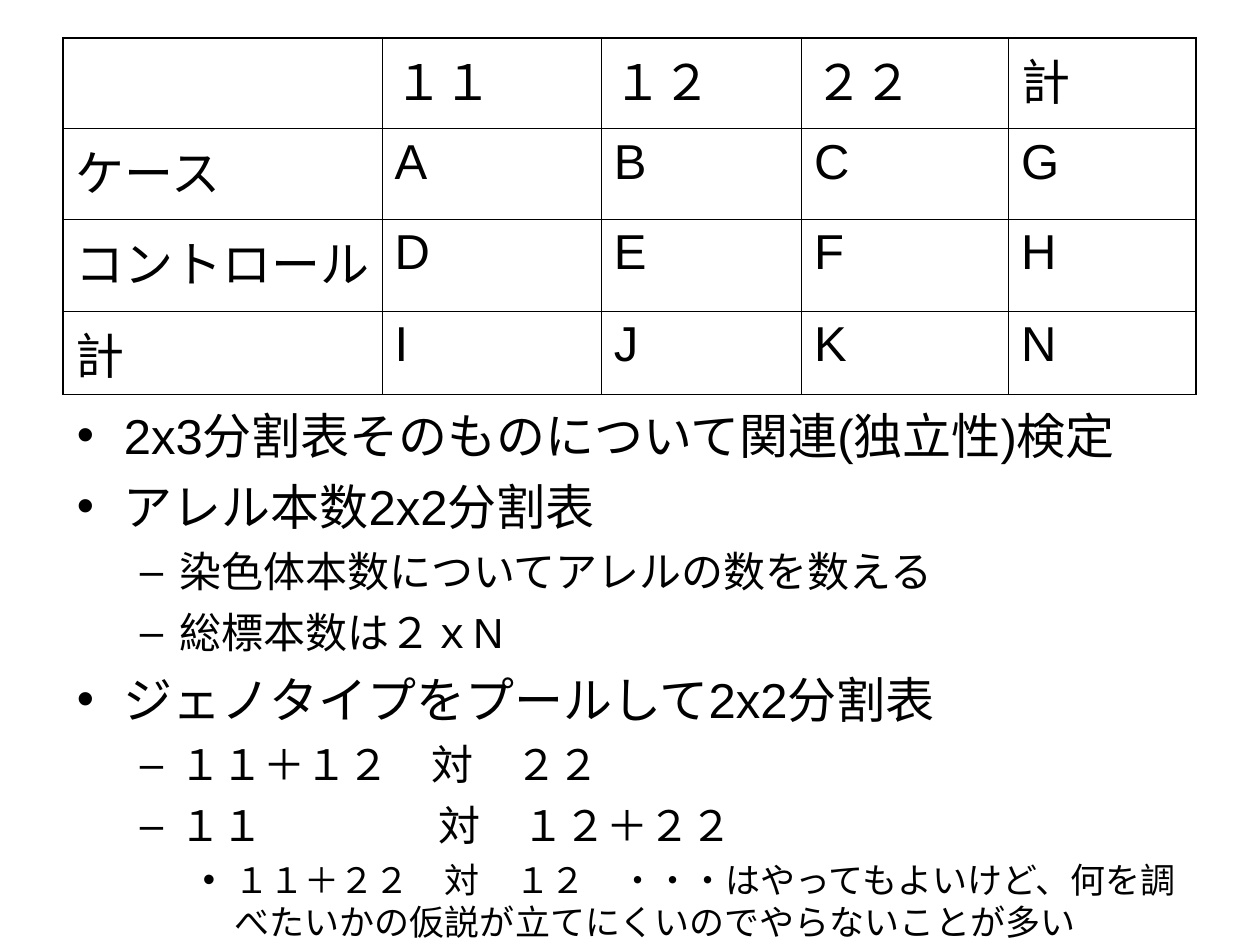
import pptx
import pptx.util
import pptx.dml.color
import pptx.oxml
import pptx.oxml.ns
from pptx.util import Cm, Pt

BLACK = pptx.dml.color.RGBColor(0, 0, 0)
WHITE = pptx.dml.color.RGBColor(255, 255, 255)
FONT = "Arial"
THIN, THICK = Pt(0.45), Pt(1.08)

COLS = [6.43, 4.42, 4.04, 4.17, 3.78]
ROWS = [1.83, 1.83, 1.85, 1.65]
CELLS = [
    ["", "１１", "１２", "２２", "計"],
    ["ケース", "A", "B", "C", "G"],
    ["コントロール", "D", "E", "F", "H"],
    ["計", "I", "J", "K", "N"],
]

# Per level: left margin, hanging indent, space before, size, bullet
LEVELS = [
    (Cm(0.95), Cm(0.95), Pt(7), Pt(28), "•"),
    (Cm(2.06), Cm(0.79), Pt(6), Pt(24), "–"),
    (Cm(3.18), Cm(0.64), Pt(5), Pt(20), "•"),
]
POINTS = [
    (0, "2x3分割表そのものについて関連(独立性)検定"),
    (0, "アレル本数2x2分割表"),
    (1, "染色体本数についてアレルの数を数える"),
    (1, "総標本数は２ｘN"),
    (0, "ジェノタイプをプールして2x2分割表"),
    (1, "１１＋１２　対　２２"),
    (1, "１１\t対　１２＋２２"),
    (2, "１１＋２２　対　１２　・・・はやってもよいけど、"
        "何を調べたいかの仮説が立てにくいのでやらないことが多い"),
]
TAB = Cm(7.3)


def make(tag, body="", **attrs):
    """Build one DrawingML element."""
    text = "".join(f' {key}="{val}"' for key, val in attrs.items())
    space = pptx.oxml.ns.nsdecls("a")
    return pptx.oxml.parse_xml(f"<a:{tag} {space}{text}>{body}</a:{tag}>")


def style(para, size):
    for run in para.runs:
        run.font.name = FONT
        run.font.size = size
        run.font.color.rgb = BLACK


def edge(cell, sides):
    """Draw the cell's borders; sides maps L, R, T, B to widths."""
    props = cell._tc.get_or_add_tcPr()
    body = f'<a:solidFill><a:srgbClr val="{BLACK}"/></a:solidFill>'
    for spot, (side, width) in enumerate(sides.items()):
        props.insert(spot, make("ln" + side, body, w=int(width)))


def add_grid(slide, left, top, width, height):
    """Genotype counts for cases and controls."""
    shape = slide.shapes.add_table(
        len(ROWS), len(COLS), left, top, width, height)
    table = shape.table
    for col, size in zip(table.columns, COLS):
        col.width = Cm(size)
    for row, size in zip(table.rows, ROWS):
        row.height = Cm(size)
    for i, words in enumerate(CELLS):
        for j, word in enumerate(words):
            cell = table.cell(i, j)
            cell.fill.solid()
            cell.fill.fore_color.rgb = WHITE
            cell.text_frame.text = word
            style(cell.text_frame.paragraphs[0], Pt(28))
            edge(cell, {
                "L": THICK if j == 0 else THIN,
                "R": THICK if j == len(COLS) - 1 else THIN,
                "T": THICK if i == 0 else THIN,
                "B": THICK if i == len(ROWS) - 1 else THIN,
            })


def add_points(slide, left, top, width, height):
    """Bulleted list of the possible tests."""
    frame = slide.shapes.add_textbox(left, top, width, height).text_frame
    frame.word_wrap = True
    for i, (level, words) in enumerate(POINTS):
        margin, hang, gap, size, mark = LEVELS[level]
        para = frame.paragraphs[0] if i == 0 else frame.add_paragraph()
        para.text = words
        para.level = level
        props = para._p.get_or_add_pPr()
        props.set("marL", str(int(margin)))
        props.set("indent", str(-int(hang)))
        props.append(make("buClr", f'<a:srgbClr val="{BLACK}"/>'))
        props.append(make("buFont", typeface=FONT))
        props.append(make("buChar", char=mark))
        if "\t" in words:
            stop = f'<a:tab pos="{int(TAB)}" algn="l"/>'
            props.append(make("tabLst", stop))
        para.space_before = gap if i else Pt(0)
        style(para, size)


def main():
    deck = pptx.Presentation()
    deck.slide_width, deck.slide_height = Cm(25.4), Cm(19.05)
    slide = deck.slides.add_slide(deck.slide_layouts[6])
    add_grid(slide, Cm(1.27), Cm(0.76), Cm(sum(COLS)), Cm(sum(ROWS)))
    add_points(slide, Cm(1.3), Cm(8.05), Cm(22.8), Cm(11))
    deck.save("out.pptx")


if __name__ == "__main__":
    main()
